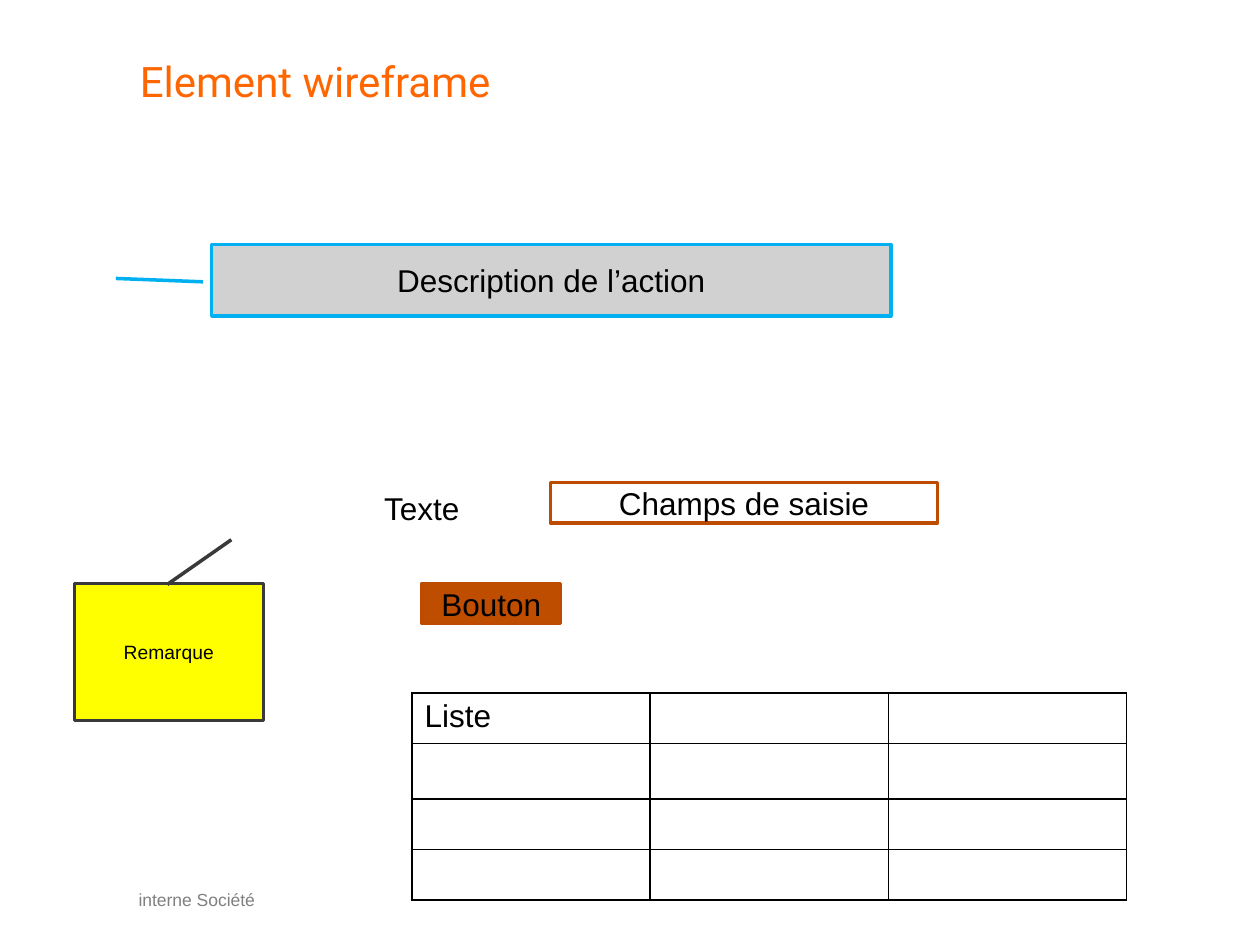
from lxml import etree
from pptx import Presentation
from pptx.dml.color import RGBColor
from pptx.enum.shapes import MSO_SHAPE
from pptx.enum.text import MSO_ANCHOR, PP_ALIGN
from pptx.oxml.ns import qn
from pptx.util import Inches, Pt

BLACK = RGBColor(0x00, 0x00, 0x00)
TITLE_ORANGE = RGBColor(0xFF, 0x66, 0x00)
FOOTER_GRAY = RGBColor(0x80, 0x80, 0x80)
PANEL_GRAY = RGBColor(0xD1, 0xD1, 0xD1)
CALLOUT_BLUE = RGBColor(0x00, 0xB0, 0xF0)
BORDER_RUST = RGBColor(0xBD, 0x4B, 0x00)
BUTTON_RUST = RGBColor(0xBF, 0x4D, 0x00)
NOTE_YELLOW = RGBColor(0xFF, 0xFF, 0x00)
NOTE_BORDER = RGBColor(0x3A, 0x3A, 0x3A)


def add_run(paragraph, text, size=18, color=BLACK, font="Arial"):
    """Append one formatted run to a paragraph."""
    run = paragraph.add_run()
    run.text = text
    run.font.size = Pt(size)
    run.font.name = font
    run.font.color.rgb = color


def add_text(slide, box, text, margins=(0.1, 0.05), wrap=False, **style):
    """Add a left-aligned text box with horizontal and vertical margins."""
    frame = slide.shapes.add_textbox(*map(Inches, box)).text_frame
    frame.margin_left = frame.margin_right = Inches(margins[0])
    frame.margin_top = frame.margin_bottom = Inches(margins[1])
    frame.word_wrap = wrap
    add_run(frame.paragraphs[0], text, **style)


def add_box(slide, box, text, line, fill=None, callout=None, size=18):
    """Add a captioned rectangle, or a line callout if adjustments are given."""
    kind = MSO_SHAPE.LINE_CALLOUT_1 if callout else MSO_SHAPE.RECTANGLE
    shape = slide.shapes.add_shape(kind, *map(Inches, box))
    shape.shadow.inherit = False
    for index, value in enumerate(callout or ()):
        shape.adjustments[index] = value
    if fill is None:
        shape.fill.background()
    else:
        shape.fill.solid()
        shape.fill.fore_color.rgb = fill
    shape.line.color.rgb = line
    shape.line.width = Pt(2)
    frame = shape.text_frame
    frame.word_wrap = True
    frame.vertical_anchor = MSO_ANCHOR.MIDDLE
    paragraph = frame.paragraphs[0]
    paragraph.alignment = PP_ALIGN.CENTER
    add_run(paragraph, text, size)


def set_borders(cell, color=BLACK, width=1):
    """Draw all four borders of a table cell."""
    properties = cell._tc.get_or_add_tcPr()
    for position, side in enumerate(("lnL", "lnR", "lnT", "lnB")):
        border = etree.Element(qn(f"a:{side}"), w=str(Pt(width)))
        fill = etree.SubElement(border, qn("a:solidFill"))
        etree.SubElement(fill, qn("a:srgbClr"), val=str(color))
        properties.insert(position, border)


def add_list_table(slide, box, heading, row_heights, column_count):
    """Add an unfilled ruled table with a heading in its first cell."""
    frame = slide.shapes.add_table(len(row_heights), column_count, *map(Inches, box))
    table = frame.table
    table.first_row = table.horz_banding = False
    for row, height in zip(table.rows, row_heights):
        row.height = Inches(height)
    for column in table.columns:
        column.width = Inches(box[2] / column_count)
    for cell in table.iter_cells():
        cell.fill.background()
        set_borders(cell)
    add_run(table.cell(0, 0).text_frame.paragraphs[0], heading)


def main():
    """Build the wireframe element slide."""
    presentation = Presentation()
    presentation.slide_width = Inches(10)
    presentation.slide_height = Inches(7.5)
    slide = presentation.slides.add_slide(presentation.slide_layouts[6])

    add_text(slide, (1.1, 7.01, 3.06, 0.2), "interne Société",
             margins=(0, 0.05), size=10, color=FOOTER_GRAY)
    add_text(slide, (1.11, 0.44, 7.75, 1.07), "Element wireframe",
             margins=(0, 0), wrap=True, size=24, color=TITLE_ORANGE, font="Roboto")
    add_box(slide, (1.68, 1.94, 5.39, 0.57), "Description de l’action",
            CALLOUT_BLUE, PANEL_GRAY, callout=(0.521, -0.013, 0.474, -0.141))
    add_box(slide, (4.37, 3.83, 3.07, 0.32), "Champs de saisie", BORDER_RUST)
    add_text(slide, (2.95, 3.83, 0.8, 0.4), "Texte")
    add_box(slide, (3.35, 4.63, 1.1, 0.32), "Bouton", BORDER_RUST, BUTTON_RUST)
    add_list_table(slide, (3.27, 5.5, 5.67, 1.64), "Liste",
                   row_heights=(0.4, 0.44, 0.4, 0.4), column_count=3)
    add_box(slide, (0.59, 4.63, 1.5, 1.09), "Remarque", NOTE_BORDER, NOTE_YELLOW,
            callout=(0.008, 0.492, -0.318, 0.831), size=11)

    presentation.save("out.pptx")


main()
